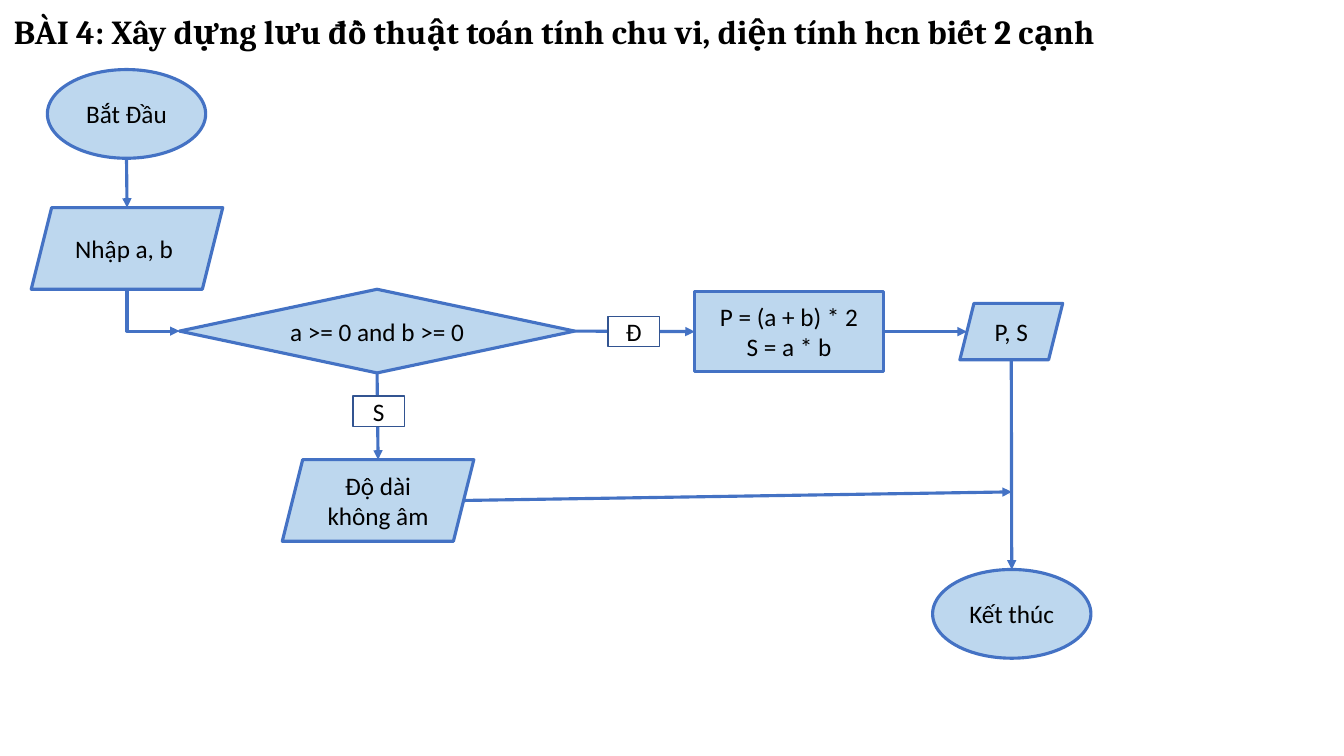
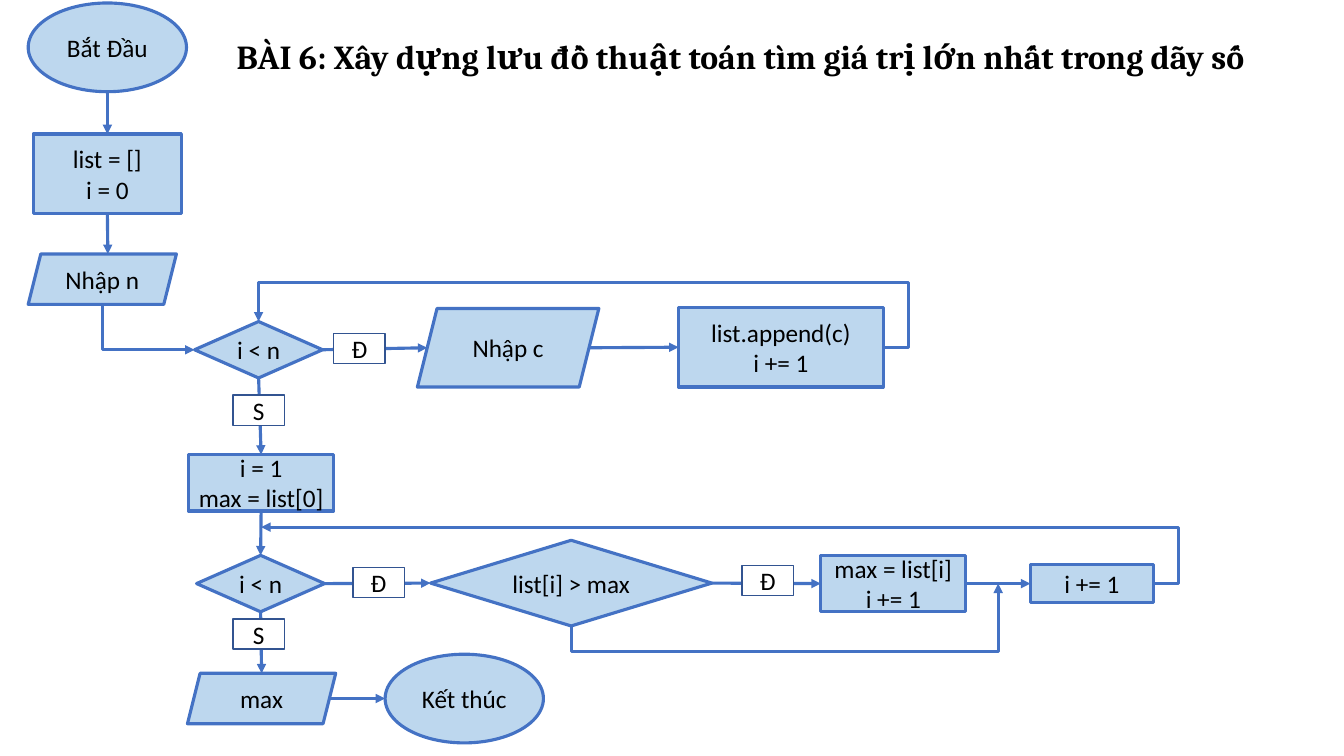
from lxml import etree
from pptx import Presentation
from pptx.dml.color import RGBColor
from pptx.enum.shapes import MSO_CONNECTOR, MSO_SHAPE
from pptx.enum.text import MSO_ANCHOR, MSO_AUTO_SIZE, PP_ALIGN
from pptx.oxml.ns import qn
from pptx.util import Inches, Pt

BLUE, PALE, NAVY, WHITE, BLACK = "4472C4", "BDD7EE", "325491", "FFFFFF", "000000"
OVAL, RECT = MSO_SHAPE.OVAL, MSO_SHAPE.RECTANGLE
DATA, TEST = MSO_SHAPE.PARALLELOGRAM, MSO_SHAPE.FLOWCHART_DECISION
TERMINAL_SIZE, LABEL_SIZE = (1.57, 0.88), (0.51, 0.3)


def color(value):
    """Turn a hex string into a colour."""
    return RGBColor.from_string(value)


def write(tf, text, size=18, font="Calibri", bold=False, align=PP_ALIGN.CENTER):
    """Fill a text frame with one paragraph per line of text."""
    for i, line in enumerate(text.split("\n")):
        p = tf.paragraphs[0] if i == 0 else tf.add_paragraph()
        p.alignment = align
        r = p.add_run()
        r.text = line
        r.font.size, r.font.name, r.font.bold = Pt(size), font, bold
        r.font.color.rgb = color(BLACK)


def title(s, text, x, y, w):
    """Place the heading of a slide."""
    tf = s.shapes.add_textbox(*map(Inches, (x, y, w, 0.5))).text_frame
    tf.word_wrap = False
    tf.auto_size = MSO_AUTO_SIZE.SHAPE_TO_FIT_TEXT
    write(tf, text, size=24, font="Cambria", bold=True, align=PP_ALIGN.LEFT)


def node(s, kind, text, x, y, w, h, fill=PALE, line=BLUE, weight=2.25):
    """Add a flowchart shape with centred text."""
    sp = s.shapes.add_shape(kind, *map(Inches, (x, y, w, h)))
    sp.shadow.inherit = False
    sp.fill.solid()
    sp.fill.fore_color.rgb = color(fill)
    sp.line.color.rgb = color(line)
    sp.line.width = Pt(weight)
    tf = sp.text_frame
    tf.word_wrap = True
    tf.vertical_anchor = MSO_ANCHOR.MIDDLE
    tf.margin_left = tf.margin_right = Inches(0.1 if kind == DATA else 0.02)
    write(tf, text)
    return sp


def terminal(s, text, x, y):
    """Add a start or end oval."""
    return node(s, OVAL, text, x, y, *TERMINAL_SIZE)


def port(sp, side):
    """Give the point in inches at the middle of one side of a shape."""
    x, y, w, h = (v / Inches(1) for v in (sp.left, sp.top, sp.width, sp.height))
    slant = min(w, h) / 8 if sp.auto_shape_type == DATA else 0
    return {"top": (x + w / 2, y), "bottom": (x + w / 2, y + h),
            "left": (x + slant, y + h / 2), "right": (x + w - slant, y + h / 2)}[side]


def arrow_style(line):
    """Give a line its colour, weight and arrowhead."""
    line.color.rgb = color(BLUE)
    line.width = Pt(2.25)
    etree.SubElement(line._get_or_add_ln(), qn("a:tailEnd"), type="triangle")


def arrow(s, start, end, label=None, at=None):
    """Draw a straight arrow, with a branch label if one is given."""
    c = s.shapes.add_connector(MSO_CONNECTOR.STRAIGHT, *map(Inches, start + end))
    arrow_style(c.line)
    etree.SubElement(c._element.spPr, qn("a:effectLst"))
    if label:
        node(s, RECT, label, *at, *LABEL_SIZE, fill=WHITE, line=NAVY, weight=1)


def bent_arrow(s, *points):
    """Draw an arrow with right-angled turns through the points."""
    emu = [tuple(map(Inches, pt)) for pt in points]
    path_builder = s.shapes.build_freeform(*emu[0])
    path_builder.add_line_segments(emu[1:], close=False)
    sp = path_builder.convert_to_shape()
    sp.shadow.inherit = False
    sp.fill.background()
    arrow_style(sp.line)


def turn_into(s, source, target):
    """Lead an arrow down from one shape and into the left of another."""
    start, end = port(source, "bottom"), port(target, "left")
    bent_arrow(s, start, (start[0], end[1]), end)


def rectangle_slide(s):
    """Build the flowchart for the perimeter and area of a rectangle."""
    title(s, "BÀI 4: Xây dựng lưu đồ thuật toán tính chu vi, diện tính hcn biết 2 cạnh",
          0.04, 0.06, 11.05)
    start = terminal(s, "Bắt Đầu", 0.47, 0.69)
    read = node(s, DATA, "Nhập a, b ", 0.31, 2.06, 1.9, 0.81)
    check = node(s, TEST, "a >= 0 and b >= 0", 1.78, 2.87, 3.92, 0.83)
    compute = node(s, RECT, "P = (a + b) * 2\nS = a * b", 6.89, 2.89, 1.87, 0.8)
    output = node(s, DATA, "P, S", 9.52, 3.01, 1.02, 0.56)
    error = node(s, DATA, "Độ dài không âm", 2.8, 4.56, 1.9, 0.81)
    end = terminal(s, "Kết thúc", 9.25, 5.65)
    arrow(s, port(start, "bottom"), port(read, "top"))
    turn_into(s, read, check)
    arrow(s, port(check, "right"), port(compute, "left"), "Đ", (6.03, 3.14))
    arrow(s, port(check, "bottom"), port(error, "top"), "S", (3.5, 3.93))
    arrow(s, port(compute, "right"), port(output, "left"))
    arrow(s, port(output, "bottom"), port(end, "top"))
    arrow(s, port(error, "right"), (port(end, "top")[0], 4.88))


def input_loop(s):
    """Build the start and the loop that reads the list, and return its test."""
    start = terminal(s, "Bắt Đầu", 0.28, 0.03)
    init = node(s, RECT, "list = []\ni = 0", 0.33, 1.33, 1.47, 0.79)
    count = node(s, DATA, "Nhập n", 0.28, 2.52, 1.47, 0.5)
    check = node(s, TEST, "i < n", 1.93, 3.19, 1.27, 0.56)
    read = node(s, DATA, "Nhập c", 4.14, 3.06, 1.8, 0.78)
    append = node(s, RECT, "list.append(c)\ni += 1", 6.73, 3.05, 2.03, 0.79)
    arrow(s, port(start, "bottom"), port(init, "top"))
    arrow(s, port(init, "bottom"), (1.07, 2.52))
    turn_into(s, count, check)
    arrow(s, port(check, "right"), port(read, "left"), "Đ", (3.31, 3.31))
    arrow(s, port(read, "right"), port(append, "left"))
    (x, y), back = port(append, "right"), port(check, "top")
    bent_arrow(s, (x, y), (x + 0.25, y), (x + 0.25, 2.8), (back[0], 2.8), back)
    return check


def search_loop(s, previous):
    """Build the loop that finds the maximum, and the end."""
    init = node(s, RECT, "i = 1\nmax = list[0]", 1.87, 4.51, 1.44, 0.56)
    check = node(s, TEST, "i < n", 1.95, 5.51, 1.27, 0.56)
    compare = node(s, TEST, "list[i] > max", 4.27, 5.36, 2.79, 0.85)
    update = node(s, RECT, "max = list[i]\ni += 1", 8.14, 5.51, 1.44, 0.56)
    step = node(s, RECT, "i += 1", 10.22, 5.6, 1.22, 0.38)
    output = node(s, DATA, "max", 1.86, 6.68, 1.47, 0.5)
    end = terminal(s, "Kết thúc", 3.82, 6.49)
    arrow(s, port(previous, "bottom"), port(init, "top"), "S", (2.31, 3.92))
    arrow(s, port(init, "bottom"), port(check, "top"))
    arrow(s, port(check, "right"), port(compare, "left"), "Đ", (3.5, 5.63))
    arrow(s, port(compare, "right"), port(update, "left"), "Đ", (7.36, 5.61))
    arrow(s, port(update, "right"), port(step, "left"))
    arrow(s, port(check, "bottom"), port(output, "top"), "S", (2.31, 6.14))
    arrow(s, port(output, "right"), port(end, "left"))
    x, y = port(step, "right")
    bent_arrow(s, (x, y), (x + 0.25, y), (x + 0.25, 5.23), (2.59, 5.23))
    x, y = port(compare, "bottom")
    bent_arrow(s, (x, y), (x, y + 0.25), (9.9, y + 0.25), (9.9, 5.79))


def maximum_slide(s):
    """Build the flowchart for the largest value of a list."""
    search_loop(s, input_loop(s))
    title(s, "BÀI 6: Xây dựng lưu đồ thuật toán tìm giá trị lớn nhất trong dãy số",
          2.25, 0.31, 10.34)


def main():
    """Build and save the presentation."""
    prs = Presentation()
    prs.slide_width, prs.slide_height = Inches(13.33), Inches(7.5)
    for build in (rectangle_slide, maximum_slide):
        build(prs.slides.add_slide(prs.slide_layouts[6]))
    prs.save("out.pptx")


if __name__ == "__main__":
    main()
